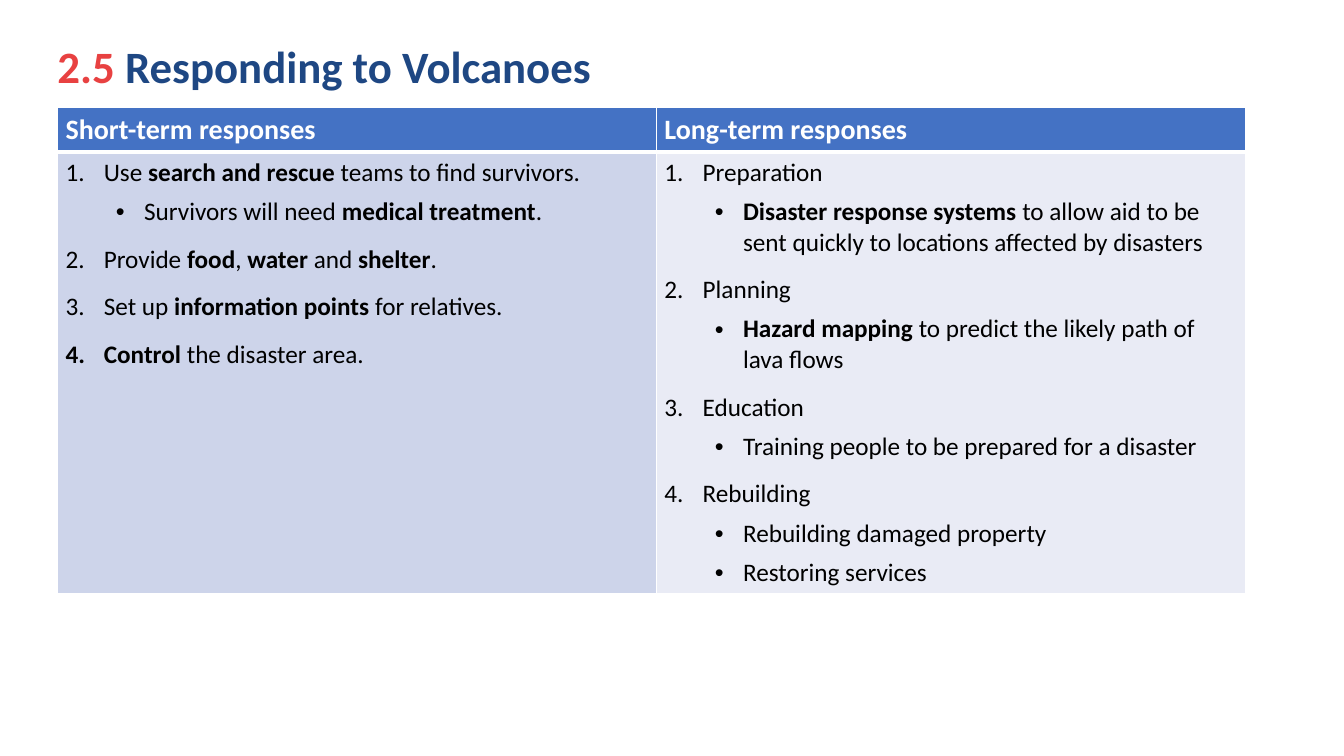
from dataclasses import dataclass

from lxml import etree
from pptx import Presentation
from pptx import util as u
from pptx.dml.color import RGBColor
from pptx.enum import text
from pptx.oxml import ns

COLOURS = {
    "number": "E84141",
    "title": "1E4783",
    "header": "4472C4",
    "short": "CDD4EA",
    "long": "E9EBF5",
    "black": "000000",
    "white": "FFFFFF",
}
FONT = "Calibri"
TITLE_SIZE, HEADER_SIZE, BODY_SIZE = 32, 20, 18


@dataclass(frozen=True)
class ListLevel:
    margin: float
    hanging: float
    space_before: int
    bullet: dict[str, dict[str, str]]


@dataclass(frozen=True)
class Item:
    words: str
    level: int = 0


@dataclass(frozen=True)
class Response:
    heading: str
    width: float
    fill: str
    items: list[Item]


LEVELS = [
    ListLevel(0.38, 0.38, 12, {"buFont": {"typeface": "+mj-lt"}, "buAutoNum": {"type": "arabicPeriod"}}),
    ListLevel(0.78, 0.28, 6, {"buFont": {"typeface": "Arial"}, "buChar": {"char": "•"}}),
]

RESPONSES = [
    Response("Short-term responses", 5.94, "short", [
        Item("Use **search and rescue **teams to find survivors."),
        Item("Survivors will need **medical treatment**.", 1),
        Item("Provide **food**, **water** and **shelter**."),
        Item("Set up **information points **for relatives."),
        Item("**Control** the disaster area."),
    ]),
    Response("Long-term responses", 5.84, "long", [
        Item("Preparation"),
        Item("**Disaster response systems **to allow aid to be sent quickly to locations affected by disasters", 1),
        Item("Planning"),
        Item("**Hazard mapping **to predict the likely path of lava flows", 1),
        Item("Education"),
        Item("Training people to be prepared for a disaster", 1),
        Item("Rebuilding"),
        Item("Rebuilding damaged property", 1),
        Item("Restoring services", 1),
    ]),
]


def add_span(para, words: str, size: int, colour: str, bold: bool = True) -> None:
    span = para.add_run()
    span.text = words
    look = {"name": FONT, "size": u.Pt(size), "bold": bold}
    for name, value in look.items():
        setattr(span.font, name, value)
    span.font.color.rgb = RGBColor.from_string(COLOURS[colour])


def add_white(parent, tag: str) -> None:
    fill = etree.SubElement(parent, ns.qn(tag))
    etree.SubElement(fill, ns.qn("a:srgbClr"), val=COLOURS["white"])


def format_cell(cell, fill: str, bottom: int) -> None:
    properties = cell._tc.get_or_add_tcPr()
    for side, points in {"L": 1, "R": 1, "T": 1, "B": bottom}.items():
        line = etree.SubElement(properties, ns.qn(f"a:ln{side}"), w=str(u.Pt(points)))
        add_white(line, "a:solidFill")
    cell.fill.solid()
    cell.fill.fore_color.rgb = RGBColor.from_string(COLOURS[fill])
    margins = {"margin_left": 0.08, "margin_right": 0.08, "margin_top": 0.05, "margin_bottom": 0.05}
    for name, value in margins.items():
        setattr(cell, name, u.Inches(value))


def format_item(para, level: int, first: bool) -> None:
    style = LEVELS[level]
    para.level = level
    properties = para._p.get_or_add_pPr()
    properties.set("marL", str(u.Inches(style.margin)))
    properties.set("indent", str(-u.Inches(style.hanging)))
    colour = etree.SubElement(properties, ns.qn("a:buClr"))
    etree.SubElement(colour, ns.qn("a:srgbClr"), val=COLOURS["black"])
    for tag, attributes in style.bullet.items():
        etree.SubElement(properties, ns.qn(f"a:{tag}"), attributes)
    if not first:
        para.space_before = u.Pt(style.space_before)


def fill_list(cell, items: list[Item]) -> None:
    frame = cell.text_frame
    for index, item in enumerate(items):
        para = frame.add_paragraph() if index else frame.paragraphs[0]
        format_item(para, item.level, index == 0)
        for part, words in enumerate(item.words.split("**")):
            if words:
                add_span(para, words, BODY_SIZE, "black", part % 2 == 1)


def add_title(page) -> None:
    box = page.shapes.title
    place = {"left": 0.47, "top": 0.39, "width": 11.5, "height": 0.68}
    for name, value in place.items():
        setattr(box, name, u.Inches(value))
    box.text_frame.vertical_anchor = text.MSO_ANCHOR.TOP
    para = box.text_frame.paragraphs[0]
    para.alignment = text.PP_ALIGN.LEFT
    para.line_spacing = 0.9
    add_span(para, "2.5", TITLE_SIZE, "number")
    add_span(para, " Responding to Volcanoes", TITLE_SIZE, "title")


def add_responses(page) -> None:
    width = sum(response.width for response in RESPONSES)
    heights = [0.43, 4.31]
    place = [u.Inches(value) for value in (0.57, 1.07, width, sum(heights))]
    table = page.shapes.add_table(len(heights), len(RESPONSES), *place).table
    for row, height in zip(table.rows, heights):
        row.height = u.Inches(height)
    for index, response in enumerate(RESPONSES):
        table.columns[index].width = u.Inches(response.width)
        heading, body = table.cell(0, index), table.cell(1, index)
        format_cell(heading, "header", 3)
        add_span(heading.text_frame.paragraphs[0], response.heading, HEADER_SIZE, "white")
        format_cell(body, response.fill, 1)
        fill_list(body, response.items)


def main() -> None:
    deck = Presentation()
    deck.slide_width, deck.slide_height = u.Inches(13.33), u.Inches(7.5)
    page = deck.slides.add_slide(deck.slide_layouts[5])
    add_responses(page)
    add_title(page)
    deck.save("out.pptx")


if __name__ == "__main__":
    main()
